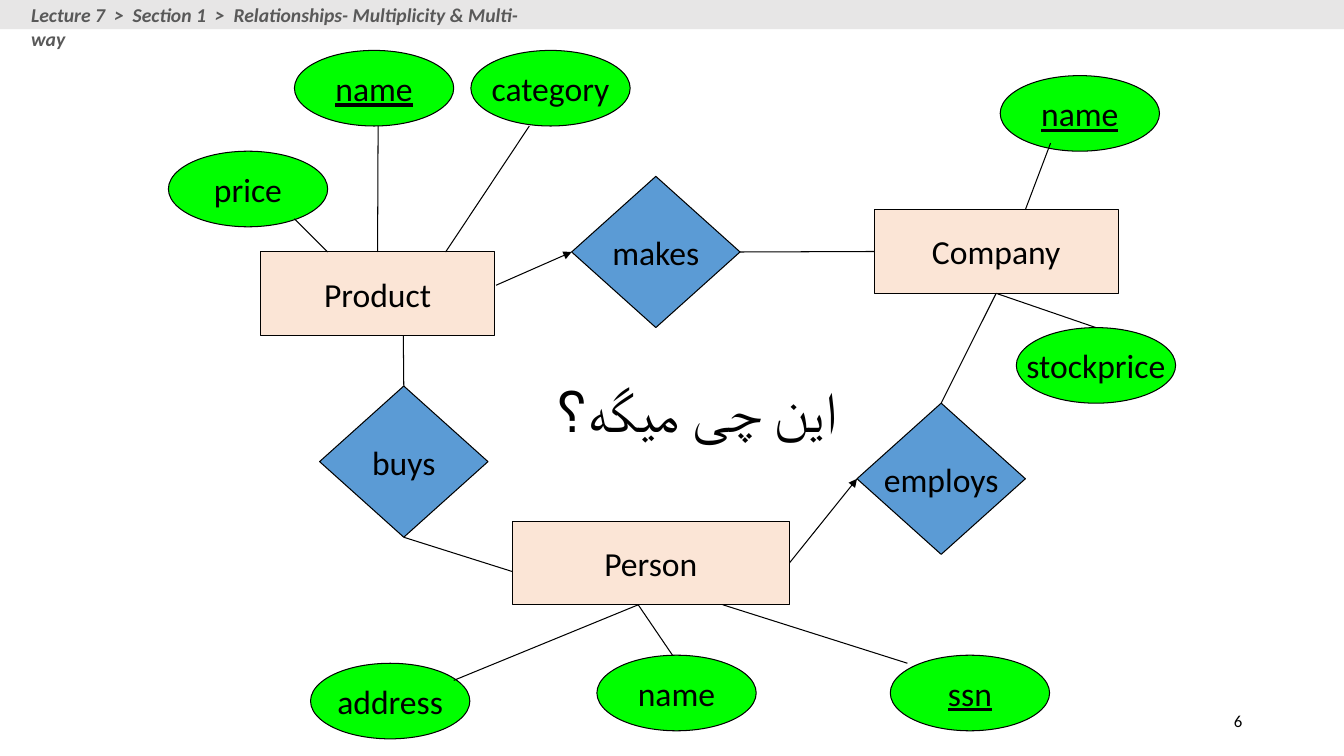
from dataclasses import dataclass

from lxml.etree import SubElement
from pptx import Presentation
from pptx.dml.color import RGBColor
from pptx.enum.shapes import MSO_CONNECTOR as CONN, MSO_SHAPE as SHAPE
from pptx.enum.text import MSO_ANCHOR as ANCHOR, PP_ALIGN as ALIGN
from pptx.oxml.ns import qn
from pptx.util import Inches, Pt

BLACK = "000000"
TOP, LEFT, BOTTOM, RIGHT = range(4)


@dataclass(frozen=True)
class Kind:
    shape: int
    fill: str
    height: float


ATTRIBUTE = Kind(SHAPE.OVAL, "00FF00", 0.75)
ENTITY = Kind(SHAPE.RECTANGLE, "FBE5D6", 0.83)
RELATION = Kind(SHAPE.DIAMOND, "5B9BD5", 1.5)


@dataclass(frozen=True)
class Node:
    kind: Kind
    label: str
    left: float
    top: float
    width: float
    key: bool = False


def attribute(label: str, left: float, top: float, key: bool = False) -> Node:
    return Node(ATTRIBUTE, label, left, top, 1.58, key)


def relation(label: str, left: float, top: float) -> Node:
    return Node(RELATION, label, left, top, 1.67)


@dataclass(frozen=True)
class Joint:
    node: Node
    side: int


@dataclass(frozen=True)
class Point:
    x: float
    y: float


@dataclass(frozen=True)
class Link:
    start: Joint | Point
    end: Joint | Point
    arrow: bool = False


PERSON = Node(ENTITY, "Person", 5.08, 5.17, 2.75)
COMPANY = Node(ENTITY, "Company", 8.67, 2.08, 2.42)
PRODUCT = Node(ENTITY, "Product", 2.58, 2.5, 2.33)
BUYS = relation("buys", 3.17, 3.83)
MAKES = relation("makes", 5.67, 1.75)
EMPLOYS = relation("employs", 8.5, 4)
STOCK_PRICE = attribute("stockprice", 10.08, 3.25)

NODES = [
    attribute("address", 3.08, 6.58),
    attribute("name", 5.92, 6.5),
    attribute("ssn", 8.83, 6.5, key=True),
    PERSON, BUYS, MAKES, EMPLOYS, COMPANY, PRODUCT,
    attribute("name", 2.92, 0.5, key=True),
    attribute("category", 4.67, 0.5),
    STOCK_PRICE,
    attribute("name", 9.92, 0.75, key=True),
    attribute("price", 1.67, 1.5),
]

LINKS = [
    Link(Joint(MAKES, RIGHT), Joint(COMPANY, LEFT)),
    Link(Point(3.25, 2.5), Point(2.92, 2.17)),
    Link(Joint(PRODUCT, TOP), Point(3.75, 1.25)),
    Link(Point(4.42, 2.5), Point(5.25, 1.25)),
    Link(Point(4.92, 2.83), Joint(MAKES, LEFT), arrow=True),
    Link(Joint(BUYS, TOP), Point(4, 3.33)),
    Link(Joint(BUYS, BOTTOM), Point(5.08, 5.67)),
    Link(Point(10.17, 2.08), Point(10.42, 1.42)),
    Link(Joint(PERSON, RIGHT), Joint(EMPLOYS, LEFT), arrow=True),
    Link(Point(6.33, 6), Point(4.5, 6.75)),
    Link(Point(6.33, 6), Point(6.67, 6.5)),
    Link(Point(7.17, 6), Point(9, 6.58)),
    Link(Joint(EMPLOYS, TOP), Joint(COMPANY, BOTTOM)),
    Link(Joint(COMPANY, BOTTOM), Joint(STOCK_PRICE, TOP)),
]


def rgb(color: str) -> RGBColor:
    return RGBColor.from_string(color)


def write(tf, text: str, size: float, align: ALIGN, color: str = BLACK):
    p = tf.paragraphs[0]
    p.add_run().text = text
    p.alignment = align
    p.font.name = "Calibri"
    p.font.size = Pt(size)
    p.font.color.rgb = rgb(color)
    return p


def add_box(s, shape: int, left: float, top: float, width: float, height: float, fill: str):
    sp = s.shapes.add_shape(shape, Inches(left), Inches(top), Inches(width), Inches(height))
    sp.shadow.inherit = False
    sp.fill.solid()
    sp.fill.fore_color.rgb = rgb(fill)
    return sp


def add_node(s, node: Node):
    sp = add_box(s, node.kind.shape, node.left, node.top, node.width, node.kind.height, node.kind.fill)
    sp.line.color.rgb = rgb(BLACK)
    sp.line.width = Pt(0.75)
    tf = sp.text_frame
    tf.word_wrap = False
    tf.vertical_anchor = ANCHOR.MIDDLE
    p = write(tf, node.label, 24, ALIGN.CENTER)
    if node.key:
        p.font.underline = True
    return sp


def add_link(s, link: Link, drawn: dict) -> None:
    ends = [Point(0, 0) if isinstance(e, Joint) else e for e in (link.start, link.end)]
    cn = s.shapes.add_connector(CONN.STRAIGHT, *(Inches(v) for e in ends for v in (e.x, e.y)))
    if isinstance(link.start, Joint):
        cn.begin_connect(drawn[link.start.node], link.start.side)
    if isinstance(link.end, Joint):
        cn.end_connect(drawn[link.end.node], link.end.side)
    cn.line.color.rgb = rgb(BLACK)
    cn.line.width = Pt(0.75)
    if link.arrow:
        SubElement(cn.line._get_or_add_ln(), qn("a:tailEnd"), type="triangle")
    SubElement(cn._element.spPr, qn("a:effectLst"))


def add_text(s, left: float, top: float, width: float, height: float, text: str,
             size: float, align: ALIGN, color: str = BLACK, anchor: ANCHOR = ANCHOR.TOP):
    tb = s.shapes.add_textbox(Inches(left), Inches(top), Inches(width), Inches(height))
    tf = tb.text_frame
    tf.word_wrap = True
    tf.vertical_anchor = anchor
    return write(tf, text, size, align, color)


def main() -> None:
    prs = Presentation()
    prs.slide_width, prs.slide_height = Inches(13.33), Inches(7.5)
    s = prs.slides.add_slide(prs.slide_layouts[6])

    add_text(s, 9.42, 6.95, 3, 0.4, "6", 12, ALIGN.RIGHT, anchor=ANCHOR.MIDDLE)
    drawn = {node: add_node(s, node) for node in NODES}
    for link in LINKS:
        add_link(s, link, drawn)
    add_text(s, 5, 3.69, 3.83, 0.78, "این چی میگه؟", 40, ALIGN.CENTER)

    banner = add_box(s, SHAPE.RECTANGLE, 0, 0, 13.33, 0.29, "E7E6E6")
    banner.line.fill.background()
    p = add_text(s, 0.21, -0.02, 5.32, 0.34,
                 "Lecture 7  >  Section 1  >  Relationships- Multiplicity & Multi-way",
                 14, ALIGN.LEFT, "595959")
    p.font.bold = p.font.italic = True

    prs.save("out.pptx")


if __name__ == "__main__":
    main()
